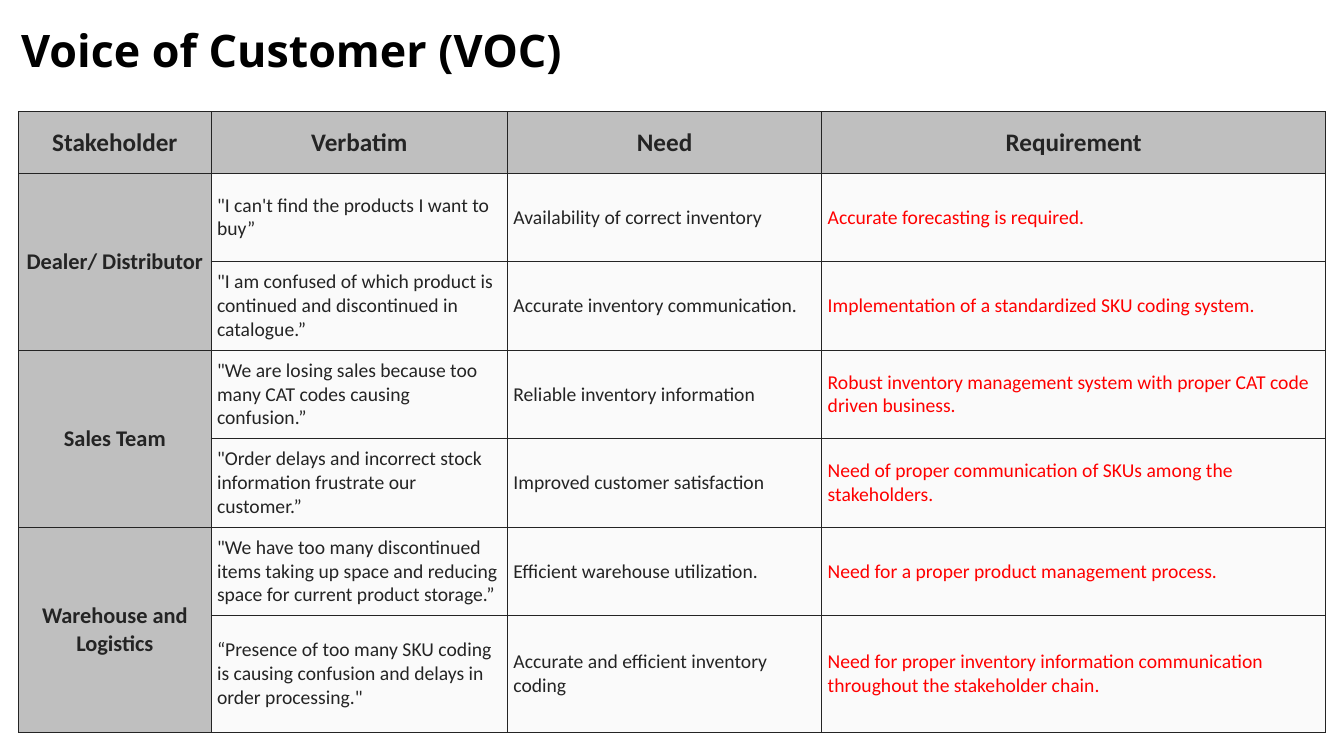
from dataclasses import dataclass

from lxml import etree
from pptx import Presentation
from pptx.dml.color import RGBColor
from pptx.enum import text
from pptx.oxml import ns
from pptx.util import Cm, Pt

COLORS = {
    "title": "000000",
    "ink": "242424",
    "requirement": "FF0000",
    "heading_fill": "BFBFBF",
    "body_fill": "FAFAFA",
}
HEADINGS = ["Stakeholder", "Verbatim", "Need", "Requirement"]
COLUMN_WIDTHS = [4.85, 7.47, 7.92, 12.7]
ROW_HEIGHTS = [1.54] + [2.23] * 5 + [2.95]


@dataclass
class CellStyle:
    size: int
    color: str
    fill: str
    bold: bool = False
    align: text.PP_ALIGN = text.PP_ALIGN.LEFT


@dataclass
class Voice:
    verbatim: str
    need: str
    requirement: str


@dataclass
class Stakeholder:
    name: str
    voices: list[Voice]


HEADING = CellStyle(18, "ink", "heading_fill", True, text.PP_ALIGN.CENTER)
STAKEHOLDER = CellStyle(16, "ink", "heading_fill", True, text.PP_ALIGN.CENTER)
STATEMENT = CellStyle(14, "ink", "body_fill")
REQUIREMENT = CellStyle(14, "requirement", "body_fill")

STAKEHOLDERS = [
    Stakeholder("Dealer/ Distributor", [
        Voice("\"I can't find the products I want to buy”",
              "Availability of correct inventory",
              "Accurate forecasting is required."),
        Voice('"I am confused of which product is continued and discontinued in catalogue.”',
              "Accurate inventory communication.",
              "Implementation of a standardized SKU coding system."),
    ]),
    Stakeholder("Sales Team", [
        Voice('"We are losing sales because too many CAT codes causing confusion.”',
              "Reliable inventory information",
              "Robust inventory management system with proper CAT code driven business."),
        Voice('"Order delays and incorrect stock information frustrate our customer.”',
              "Improved customer satisfaction",
              "Need of proper communication of SKUs among the stakeholders."),
    ]),
    Stakeholder("Warehouse and Logistics", [
        Voice('"We have too many discontinued items taking up space and reducing '
              'space for current product storage.”',
              "Efficient warehouse utilization.",
              "Need for a proper product management process."),
        Voice('“Presence of too many SKU coding is causing confusion and delays '
              'in order processing."',
              "Accurate and efficient inventory coding",
              "Need for proper inventory information communication "
              "throughout the stakeholder chain."),
    ]),
]


def rgb(name: str) -> RGBColor:
    return RGBColor.from_string(COLORS[name])


def add_borders(cell) -> None:
    properties = cell._tc.get_or_add_tcPr()
    for side in ("lnL", "lnR", "lnT", "lnB"):
        line = etree.SubElement(properties, ns.qn(f"a:{side}"), w=str(Pt(0.75)))
        fill = etree.SubElement(line, ns.qn("a:solidFill"))
        etree.SubElement(fill, ns.qn("a:srgbClr"), val=COLORS["ink"])


def write_cell(cell, wording: str, style: CellStyle) -> None:
    add_borders(cell)
    cell.fill.solid()
    cell.fill.fore_color.rgb = rgb(style.fill)
    cell.margin_left = cell.margin_right = Cm(0.15)
    cell.margin_top = cell.margin_bottom = Cm(0.03)
    cell.vertical_anchor = text.MSO_ANCHOR.MIDDLE
    cell.text = wording
    paragraph = cell.text_frame.paragraphs[0]
    paragraph.alignment = style.align
    paragraph.font.name = "Calibri"
    paragraph.font.size = Pt(style.size)
    paragraph.font.bold = style.bold
    paragraph.font.color.rgb = rgb(style.color)


def add_title(slide, wording: str) -> None:
    title = slide.shapes.title
    title.left, title.top, title.width, title.height = Cm(0.28), Cm(0.61), Cm(29.2), Cm(1.9)
    frame = title.text_frame
    frame.text = wording
    frame.vertical_anchor = text.MSO_ANCHOR.TOP
    frame.auto_size = text.MSO_AUTO_SIZE.NONE
    paragraph = frame.paragraphs[0]
    paragraph.alignment = text.PP_ALIGN.LEFT
    paragraph.line_spacing = 0.9
    paragraph.font.name = "Open Sans"
    paragraph.font.size = Pt(32)
    paragraph.font.bold = True
    paragraph.font.color.rgb = rgb("title")


def add_voice_table(slide) -> None:
    table = slide.shapes.add_table(
        len(ROW_HEIGHTS), len(COLUMN_WIDTHS), Cm(0.47), Cm(2.82),
        Cm(sum(COLUMN_WIDTHS)), Cm(sum(ROW_HEIGHTS))).table
    for column, width in zip(table.columns, COLUMN_WIDTHS):
        column.width = Cm(width)
    for row, height in zip(table.rows, ROW_HEIGHTS):
        row.height = Cm(height)

    for column, heading in enumerate(HEADINGS):
        write_cell(table.cell(0, column), heading, HEADING)

    row = 1
    for stakeholder in STAKEHOLDERS:
        first_row = row
        for voice in stakeholder.voices:
            name = stakeholder.name if row == first_row else ""
            write_cell(table.cell(row, 0), name, STAKEHOLDER)
            write_cell(table.cell(row, 1), voice.verbatim, STATEMENT)
            write_cell(table.cell(row, 2), voice.need, STATEMENT)
            write_cell(table.cell(row, 3), voice.requirement, REQUIREMENT)
            row += 1
        table.cell(first_row, 0).merge(table.cell(row - 1, 0))


def main() -> None:
    presentation = Presentation()
    presentation.slide_width = Cm(33.87)
    presentation.slide_height = Cm(19.05)
    slide = presentation.slides.add_slide(presentation.slide_layouts[5])
    add_title(slide, "Voice of Customer (VOC)")
    add_voice_table(slide)
    presentation.save("out.pptx")


if __name__ == "__main__":
    main()
